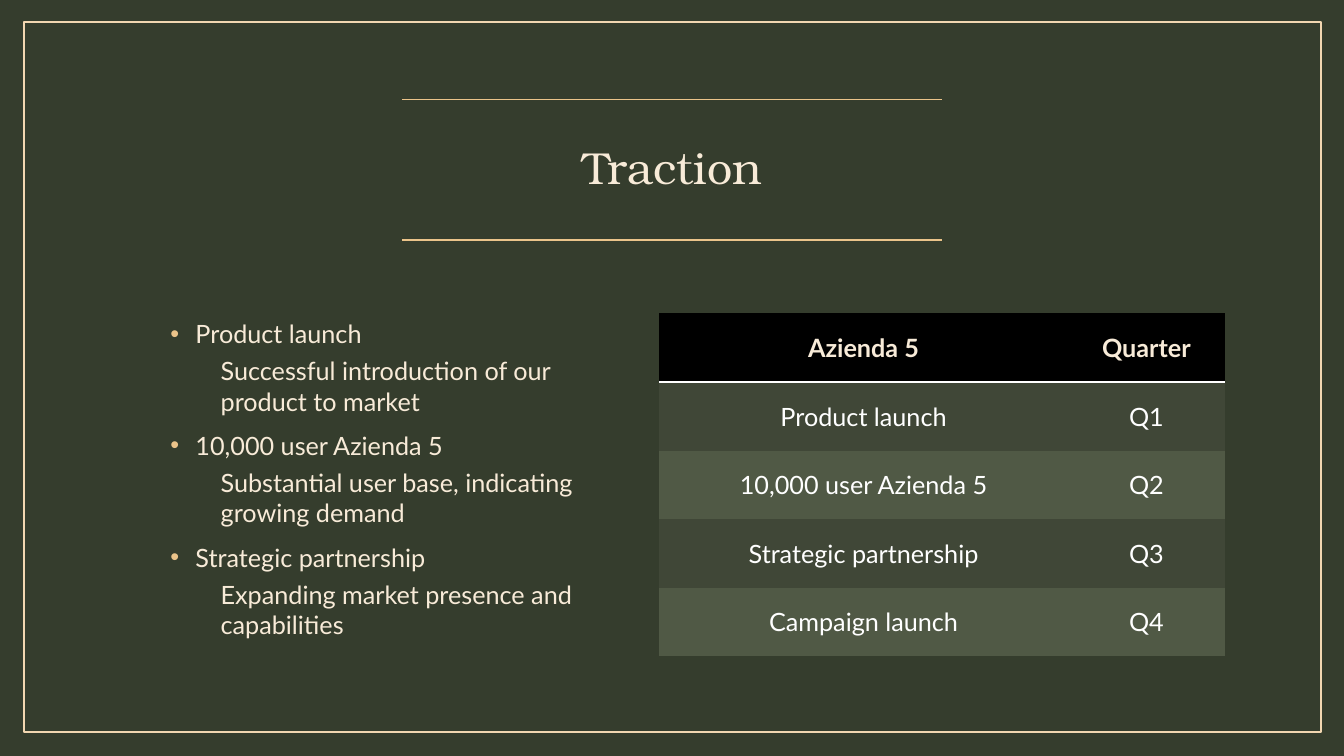
from dataclasses import dataclass

from lxml import etree
from pptx import Presentation
from pptx.dml.color import RGBColor
from pptx.enum import shapes, text
from pptx.oxml import ns
from pptx.util import Inches, Pt

COLOURS = {
    "background": "353D2D",
    "frame": "F2D7B1",
    "gold": "EBC48A",
    "cream": "F8EBD8",
    "white": "FFFFFF",
    "header": "000000",
    "odd_row": "404737",
    "even_row": "505945",
}
HEADING_FONT = "TeX Gyre Bonum"
BODY_FONT = "Lato"
NO_GRID_STYLE = "{2D5ABB26-0587-4C30-8999-92F81FD0307C}"


@dataclass(frozen=True)
class Milestone:
    name: str
    detail: str


@dataclass(frozen=True)
class TableRow:
    label: str
    quarter: str


MILESTONES = [
    Milestone("Product launch", "Successful introduction of our product to market"),
    Milestone("10,000 user Azienda 5", "Substantial user base, indicating growing demand"),
    Milestone("Strategic partnership", "Expanding market presence and capabilities"),
]
TABLE_ROWS = [
    TableRow("Azienda 5", "Quarter"),
    TableRow("Product launch", "Q1"),
    TableRow("10,000 user Azienda 5", "Q2"),
    TableRow("Strategic partnership", "Q3"),
    TableRow("Campaign launch", "Q4"),
]
COLUMN_WIDTHS = (4.05, 1.56)
ROW_HEIGHT = 0.68
RULE_HEIGHTS = (0.99, 2.38)


def colour(name: str) -> RGBColor:
    return RGBColor.from_string(COLOURS[name])


def add_element(parent, tag: str, **attributes: str):
    return etree.SubElement(parent, ns.qn(tag), attributes)


def style_font(paragraph, size: float, colour_name: str, name: str = BODY_FONT,
               bold: bool = False) -> None:
    font = paragraph.font
    font.name, font.size, font.bold = name, Pt(size), bold
    font.color.rgb = colour(colour_name)


def add_frame(slide) -> None:
    frame = slide.shapes.add_shape(shapes.MSO_SHAPE.RECTANGLE, Inches(0.24), Inches(0.22),
                                   Inches(12.86), Inches(7.04))
    frame.shadow.inherit = False
    frame.fill.background()
    frame.line.color.rgb = colour("frame")
    frame.line.width = Pt(1.5)


def add_rule(slide, top: float) -> None:
    rule = slide.shapes.add_connector(shapes.MSO_CONNECTOR.STRAIGHT, Inches(3.99), Inches(top),
                                      Inches(9.34), Inches(top))
    rule.line.color.rgb = colour("gold")
    rule.line.width = Pt(1)
    add_element(rule._element.spPr, "a:effectLst")


def add_title(slide, title: str) -> None:
    box = slide.shapes.add_textbox(Inches(1.62), Inches(0.99), Inches(10.09), Inches(1.39))
    frame = box.text_frame
    frame.word_wrap = True
    frame.vertical_anchor = text.MSO_ANCHOR.MIDDLE
    paragraph = frame.paragraphs[0]
    paragraph.text = title
    paragraph.alignment = text.PP_ALIGN.CENTER
    paragraph.line_spacing = 0.9
    style_font(paragraph, 32, "cream", HEADING_FONT)


def indent(paragraph, left: float, first_line: float) -> None:
    properties = paragraph._p.get_or_add_pPr()
    properties.set("marL", str(Inches(left)))
    properties.set("indent", str(Inches(first_line)))


def add_bullet(paragraph) -> None:
    properties = paragraph._p.get_or_add_pPr()
    bullet_colour = add_element(properties, "a:buClr")
    add_element(bullet_colour, "a:srgbClr", val=COLOURS["gold"])
    add_element(properties, "a:buFont", typeface="Arial")
    add_element(properties, "a:buChar", char="•")


def add_milestones(slide, milestones: list[Milestone]) -> None:
    box = slide.shapes.add_textbox(Inches(1.59), Inches(3.11), Inches(4.31), Inches(3.69))
    frame = box.text_frame
    frame.word_wrap = True
    for index, milestone in enumerate(milestones):
        name = frame.add_paragraph() if index else frame.paragraphs[0]
        name.text = milestone.name
        indent(name, 0.25, -0.25)
        add_bullet(name)
        name.space_before = Pt(10 if index else 0)

        detail = frame.add_paragraph()
        detail.text = milestone.detail
        detail.level = 1
        indent(detail, 0.5, 0)
        detail.space_before = Pt(5)

        for paragraph in (name, detail):
            style_font(paragraph, 18, "cream")


def add_bottom_border(cell) -> None:
    properties = cell._tc.get_or_add_tcPr()
    border = add_element(properties, "a:lnB", w=str(Pt(2)))
    fill = add_element(border, "a:solidFill")
    add_element(fill, "a:srgbClr", val=COLOURS["white"])
    properties.insert(0, border)


def fill_cell(cell, content: str, row: int) -> None:
    header = row == 0
    cell.fill.solid()
    cell.fill.fore_color.rgb = colour(
        "header" if header else "odd_row" if row % 2 else "even_row")
    cell.vertical_anchor = text.MSO_ANCHOR.MIDDLE
    paragraph = cell.text_frame.paragraphs[0]
    paragraph.text = content
    paragraph.alignment = text.PP_ALIGN.CENTER
    style_font(paragraph, 18, "cream" if header else "white", bold=header)
    if header:
        add_bottom_border(cell)


def add_quarter_table(slide, rows: list[TableRow]) -> None:
    graphic = slide.shapes.add_table(len(rows), len(COLUMN_WIDTHS), Inches(6.54), Inches(3.11),
                                     Inches(sum(COLUMN_WIDTHS)), Inches(ROW_HEIGHT * len(rows)))
    table = graphic.table
    table._tbl.tblPr.find(ns.qn("a:tableStyleId")).text = NO_GRID_STYLE
    for column, width in zip(table.columns, COLUMN_WIDTHS):
        column.width = Inches(width)
    for index, row in enumerate(rows):
        table.rows[index].height = Inches(ROW_HEIGHT)
        fill_cell(table.cell(index, 0), row.label, index)
        fill_cell(table.cell(index, 1), row.quarter, index)


def main() -> None:
    presentation = Presentation()
    presentation.slide_width = Inches(13.33)
    presentation.slide_height = Inches(7.5)
    slide = presentation.slides.add_slide(presentation.slide_layouts[6])
    slide.background.fill.solid()
    slide.background.fill.fore_color.rgb = colour("background")

    add_frame(slide)
    for top in RULE_HEIGHTS:
        add_rule(slide, top)
    add_title(slide, "Traction")
    add_milestones(slide, MILESTONES)
    add_quarter_table(slide, TABLE_ROWS)
    presentation.save("out.pptx")


if __name__ == "__main__":
    main()
